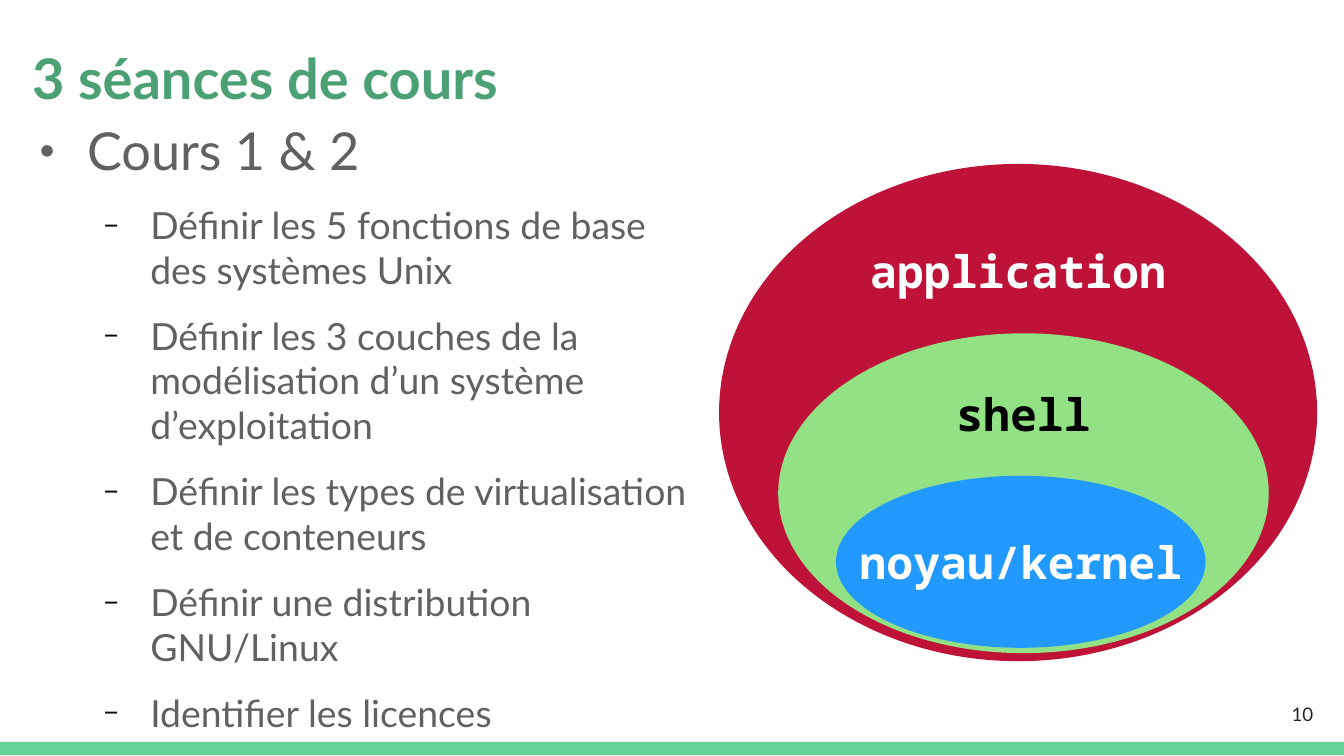
import pptx
import pptx.util
import pptx.dml.color
import pptx.enum.shapes
import pptx.enum.text
import pptx.oxml
import pptx.oxml.ns

Inches, Pt = pptx.util.Inches, pptx.util.Pt
Shape = pptx.enum.shapes.MSO_SHAPE
Align = pptx.enum.text.PP_ALIGN
Anchor = pptx.enum.text.MSO_ANCHOR

TITLE = "3 séances de cours"
HEAD = "Cours 1 & 2"
GOALS = [
    "Définir les 5 fonctions de base des systèmes Unix",
    "Définir les 3 couches de la modélisation d’un système d’exploitation",
    "Définir les types de virtualisation et de conteneurs",
    "Définir une distribution GNU/Linux",
    "Identifier les licences",
]
# label, box, fill, text colour, anchor
LAYERS = [
    ("application", (5.35, 1.22, 4.45, 3.7), "BF1238", "FFFFFF", Anchor.TOP),
    ("shell", (5.79, 2.48, 3.65, 2.38), "92E285", "000000", Anchor.TOP),
    ("noyau/kernel", (6.22, 3.54, 2.75, 1.28), "2199FF", "FFFFFF", Anchor.MIDDLE),
]


def color(hex):
    return pptx.dml.color.RGBColor.from_string(hex)


def style(para, size, hex, font="Lato", bold=False):
    for run in para.runs:
        run.font.name = font
        run.font.size = Pt(size)
        run.font.bold = bold
        run.font.color.rgb = color(hex)


def add_box(slide, box):
    frame = slide.shapes.add_textbox(*map(Inches, box)).text_frame
    frame.word_wrap = True
    frame.margin_left = frame.margin_right = Inches(0.1)
    frame.margin_top = frame.margin_bottom = Inches(0.1)
    return frame


def add_solid(slide, kind, box, fill):
    shape = slide.shapes.add_shape(kind, *map(Inches, box))
    shape.shadow.inherit = False
    shape.fill.solid()
    shape.fill.fore_color.rgb = color(fill)
    shape.line.fill.background()
    return shape


def add_bullet(para, mark, hex, percent, left):
    props = para._p.get_or_add_pPr()
    props.set("marL", str(Inches(left)))
    props.set("indent", str(Inches(-0.35)))
    space = pptx.oxml.ns.nsdecls("a")
    for part in (
        f'<a:buClr {space}><a:srgbClr val="{hex}"/></a:buClr>',
        f'<a:buSzPct {space} val="{percent * 1000}"/>',
        f'<a:buFont {space} typeface="Lato"/>',
        f'<a:buChar {space} char="{mark}"/>',
    ):
        props.append(pptx.oxml.parse_xml(part))


def main():
    deck = pptx.Presentation()
    deck.slide_width = Inches(10)
    deck.slide_height = deck.slide_width * 9 // 16
    slide = deck.slides.add_slide(deck.slide_layouts[6])

    add_solid(slide, Shape.RECTANGLE, (0, 5.52, 10, 0.1), "63D297")

    title = add_box(slide, (0.14, 0.15, 9.32, 0.63)).paragraphs[0]
    title.text = TITLE
    title.line_spacing = 1.15
    style(title, 30, "4BA173", bold=True)

    number = add_box(slide, (9.27, 5.1, 0.6, 0.43))
    number.vertical_anchor = Anchor.MIDDLE
    para = number.paragraphs[0]
    para.text = "10"
    para.alignment = Align.RIGHT
    style(para, 10, "202729")

    body = add_box(slide, (0.08, 0.71, 5.24, 4.9))
    head = body.paragraphs[0]
    head.text = HEAD
    head.line_spacing = 1.15
    add_bullet(head, "●", "616161", 45, 0.47)
    style(head, 28, "616161")
    for goal in GOALS:
        para = body.add_paragraph()
        para.text = goal
        para.level = 1
        para.space_before = Pt(11.3)
        add_bullet(para, "−", "000000", 75, 0.94)
        style(para, 20, "616161")

    for label, box, fill, ink, anchor in LAYERS:
        frame = add_solid(slide, Shape.OVAL, box, fill).text_frame
        frame.word_wrap = False
        frame.vertical_anchor = anchor
        para = frame.paragraphs[0]
        para.text = label
        para.alignment = Align.CENTER
        style(para, 24, ink, "Noto Sans Mono", True)

    deck.save("out.pptx")


if __name__ == "__main__":
    main()
